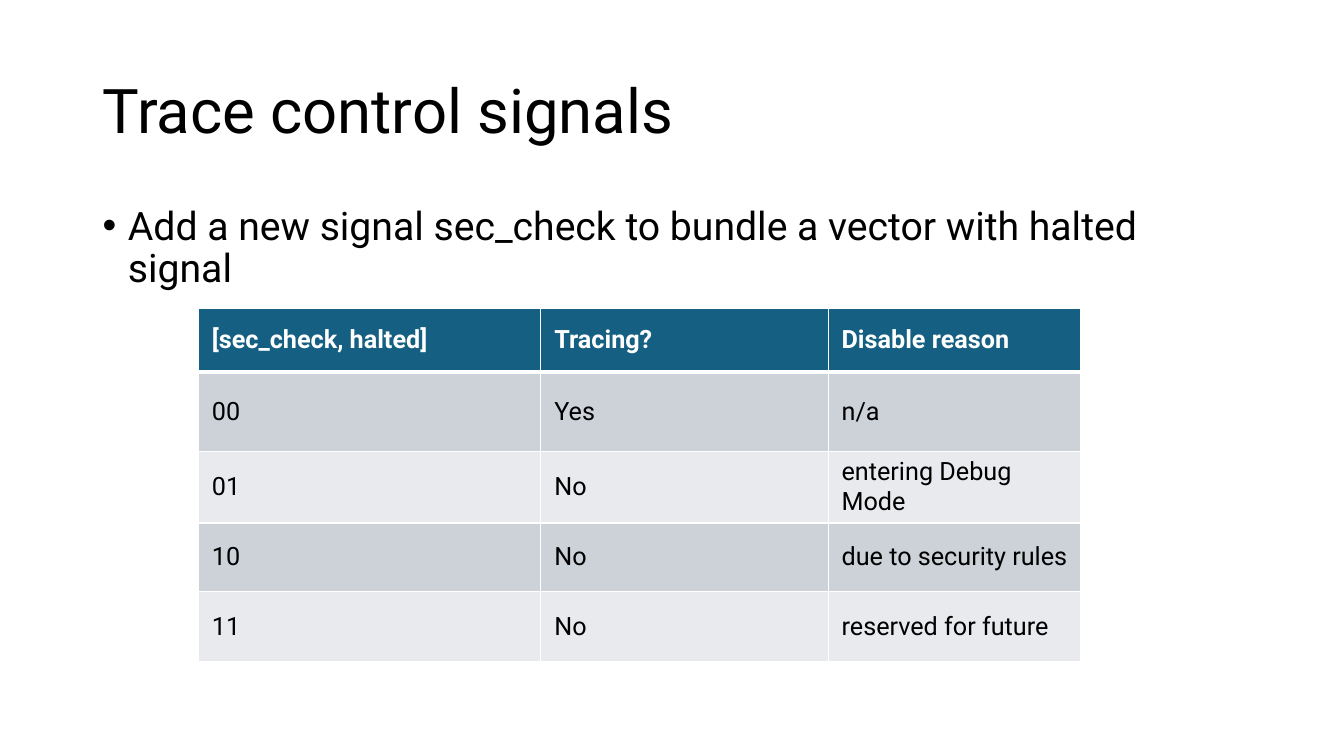
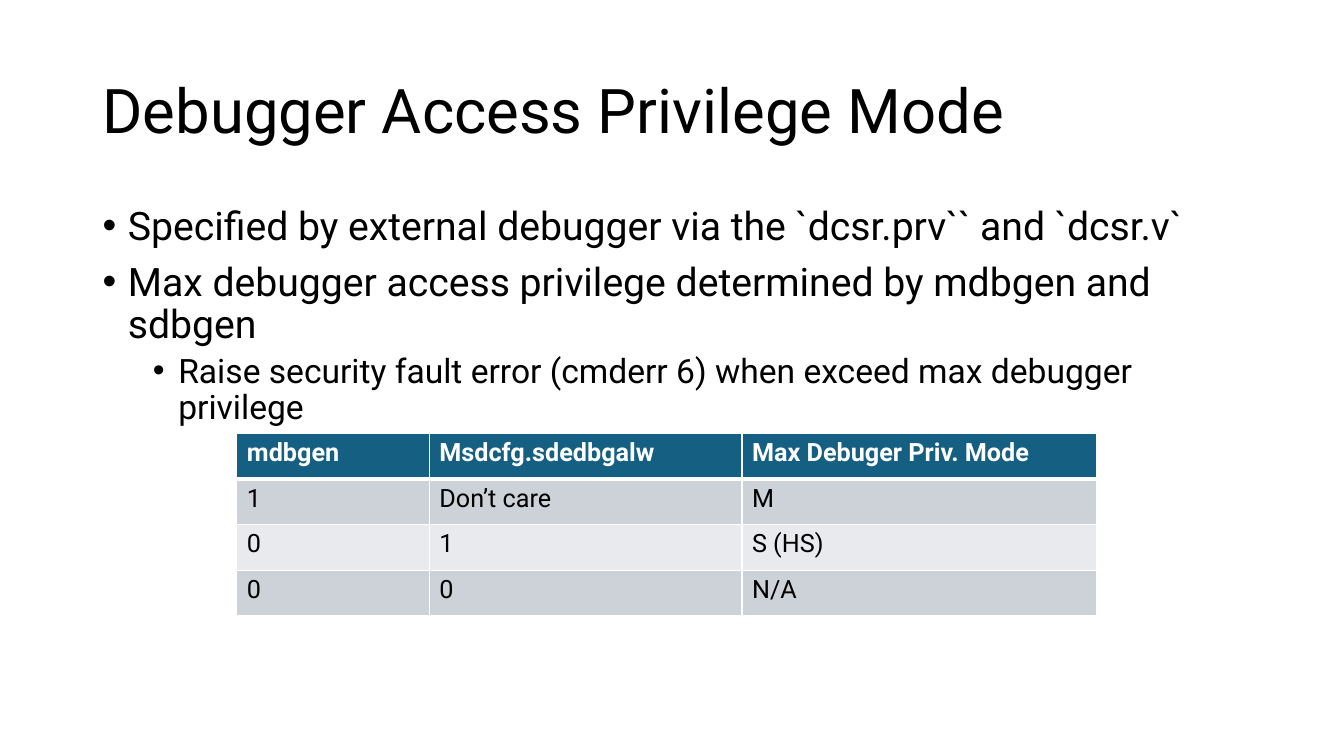
from pptx import Presentation
from pptx import util as u
from pptx.dml.color import RGBColor
from pptx.enum import text
from pptx.oxml import parse_xml
from pptx.oxml.ns import nsdecls

FONT = "Roboto"
INK, PAPER, HEAD = "000000", "FFFFFF", "156082"
BANDS = ("CCD2D8", "E8EAED")
TITLE_BOX = (2.33, 1.01, 29.21, 3.68)
BODY_BOX = (2.33, 5.07, 29.21, 12.09)
# Per list level: text size, space before, indent in cm
LEVELS = ((28, 10, 0.64), (24, 5, 1.91))
HANG = 0.64


def rgb(code):
    return RGBColor.from_string(code)


def assign(item, values):
    for name, value in values.items():
        setattr(item, name, value)


def place(shape, box):
    names = ("left", "top", "width", "height")
    assign(shape, dict(zip(names, map(u.Cm, box))))


def style(para, size, color=INK, bold=False, **form):
    assign(para, {"alignment": text.PP_ALIGN.LEFT, **form})
    assign(para.font, {"name": FONT, "size": u.Pt(size), "bold": bold})
    para.font.color.rgb = rgb(color)


def bullet(para, indent):
    props = para._p.get_or_add_pPr()
    props.set("marL", str(u.Cm(indent)))
    props.set("indent", str(-u.Cm(HANG)))
    for tag in ('buFont %s typeface="Arial"', 'buChar %s char="•"'):
        props.append(parse_xml(f"<a:{tag % nsdecls('a')}/>"))


def add_title(shape, words, box):
    place(shape, box)
    frame = shape.text_frame
    frame.text = words
    assign(frame, {"vertical_anchor": text.MSO_ANCHOR.MIDDLE,
                   "auto_size": text.MSO_AUTO_SIZE.NONE})
    style(frame.paragraphs[0], 44, line_spacing=0.9)


def add_list(shape, items, box):
    """Fill the body with (level, words) pairs."""
    place(shape, box)
    frame = shape.text_frame
    frame.text = "\n".join(words for _, words in items)
    frame.auto_size = text.MSO_AUTO_SIZE.NONE
    for para, (level, _) in zip(frame.paragraphs, items):
        size, gap, indent = LEVELS[level]
        style(para, size, level=level, line_spacing=0.9,
              space_before=u.Pt(gap), space_after=u.Pt(0))
        bullet(para, indent)


def border(cell, **widths):
    """Draw white cell edges; L, R, T and B are widths in points."""
    props = cell._tc.get_or_add_tcPr()
    for side in "LRTB":
        props.append(parse_xml(
            f'<a:ln{side} {nsdecls("a")} w="{u.Pt(widths.get(side, 1))}">'
            f'<a:solidFill><a:srgbClr val="{PAPER}"/></a:solidFill>'
            f'</a:ln{side}>'))


def fill_cell(cell, words, row, form):
    assign(cell, {"text": words, **form})
    border(cell, **({"B": 3} if row == 0 else {"T": 3} if row == 1 else {}))
    cell.fill.solid()
    cell.fill.fore_color.rgb = rgb(BANDS[(row - 1) % 2] if row else HEAD)
    style(cell.text_frame.paragraphs[0], 18, INK if row else PAPER, not row)


def add_grid(slide, data, left, top, cols, rows, form):
    box = map(u.Cm, (left, top, sum(cols), sum(rows)))
    grid = slide.shapes.add_table(len(rows), len(cols), *box).table
    grid.horz_banding = False
    for col, width in zip(grid.columns, cols):
        col.width = u.Cm(width)
    for r, (line, height) in enumerate(zip(data, rows)):
        grid.rows[r].height = u.Cm(height)
        for c, words in enumerate(line):
            fill_cell(grid.cell(r, c), words, r, form)


def add_page(deck, title, items, **grid):
    slide = deck.slides.add_slide(deck.slide_layouts[1])
    add_title(slide.shapes.title, title, TITLE_BOX)
    add_list(slide.placeholders[1], items, BODY_BOX)
    add_grid(slide, **grid)


def main():
    deck = Presentation()
    assign(deck, {"slide_width": u.Cm(33.87), "slide_height": u.Cm(19.05)})
    add_page(
        deck, "Trace control signals",
        [(0, "Add a new signal sec_check to bundle a vector with halted signal")],
        data=[("[sec_check, halted]", "Tracing?", "Disable reason"),
              ("00", "Yes", "n/a"),
              ("01", "No", "entering Debug Mode"),
              ("10", "No", "due to security rules"),
              ("11", "No", "reserved for future")],
        left=5, top=7.77, cols=(8.63, 7.24, 6.37),
        rows=(1.6, 2, 1.78, 1.73, 1.75),
        form={"vertical_anchor": text.MSO_ANCHOR.MIDDLE,
              "margin_left": u.Cm(0.34), "margin_right": u.Cm(0.34),
              "margin_top": u.Cm(0.16), "margin_bottom": u.Cm(0.16)})
    add_page(
        deck, "Debugger Access Privilege Mode",
        [(0, "Specified by external debugger via the `dcsr.prv`` and `dcsr.v`"),
         (0, "Max debugger access privilege determined by mdbgen and sdbgen"),
         (1, "Raise security fault error (cmderr 6) when exceed max debugger "
             "privilege")],
        data=[("mdbgen", "Msdcfg.sdedbgalw", "Max Debuger Priv. Mode"),
              ("1", "Don’t care", "M"),
              ("0", "1", "S (HS)"),
              ("0", "0", "N/A")],
        left=5.97, top=10.92, cols=(4.85, 7.88, 8.94), rows=(1.15,) * 4,
        form={"vertical_anchor": text.MSO_ANCHOR.TOP})
    deck.save("out.pptx")


if __name__ == "__main__":
    main()
